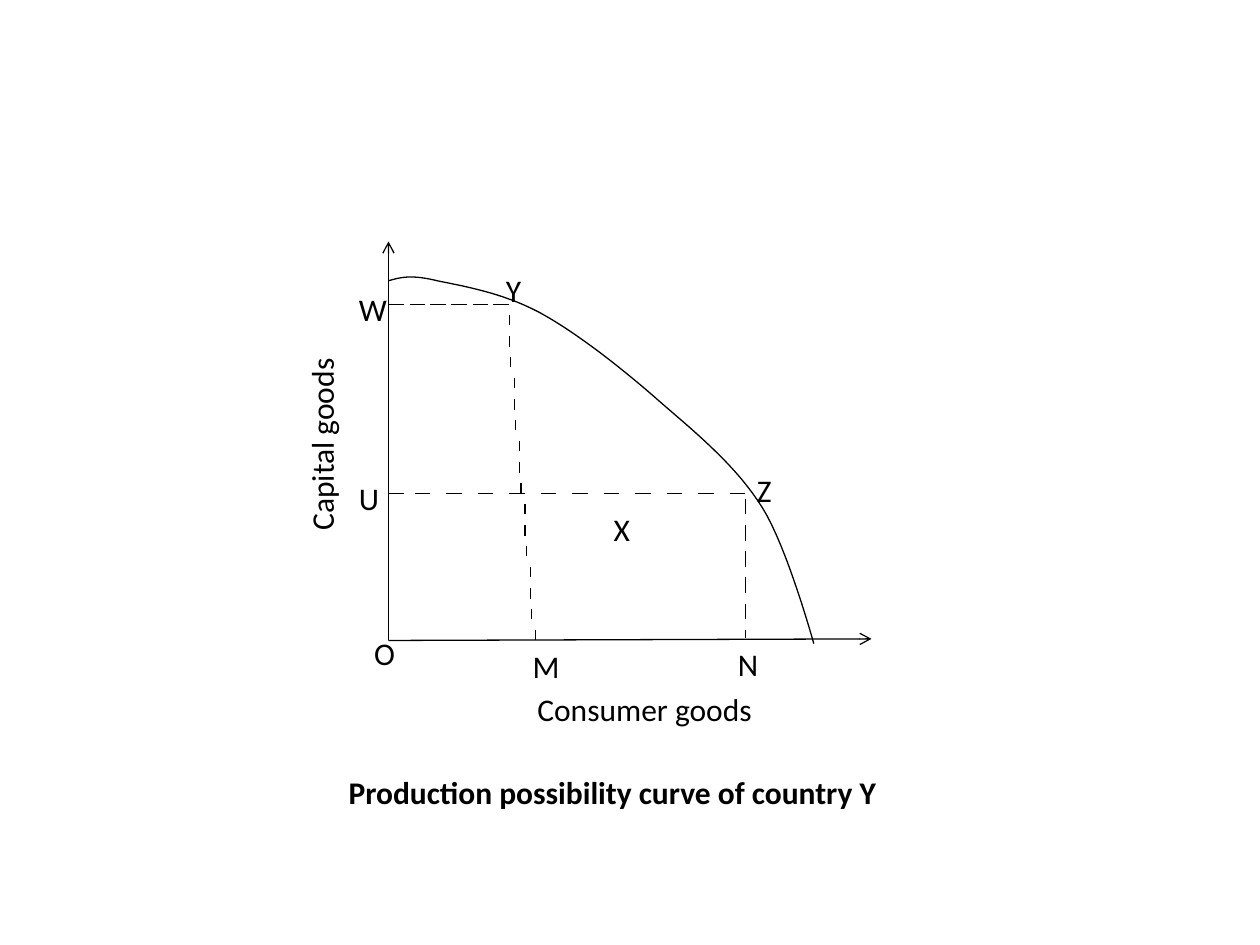
from dataclasses import dataclass

from lxml import etree
from pptx import Presentation
from pptx.dml.color import RGBColor
from pptx.enum.shapes import MSO_CONNECTOR
from pptx.enum.text import MSO_ANCHOR, MSO_AUTO_SIZE, PP_ALIGN
from pptx.oxml.ns import qn
from pptx.util import Inches, Pt

STRAIGHT = MSO_CONNECTOR.STRAIGHT
TOP = MSO_ANCHOR.TOP
LEFT = PP_ALIGN.LEFT
FIT_SHAPE, NO_FIT = MSO_AUTO_SIZE.SHAPE_TO_FIT_TEXT, MSO_AUTO_SIZE.NONE
COLS, ROWS = 240, 180
TITLE_ONLY = 5


@dataclass(frozen=True)
class Theme:
    """Colours, type and line sizes of the diagram."""
    ink: RGBColor = RGBColor(0, 0, 0)
    font: str = "Calibri"
    size: float = 18
    stroke: float = 0.75
    text_rows: float = 9.6


class Diagram:
    """Draws on one slide with lengths in grid columns and rows."""

    def __init__(self, prs, theme):
        self.slide = prs.slides.add_slide(prs.slide_layouts[TITLE_ONLY])
        self.theme = theme
        self.col = prs.slide_width / COLS
        self.row = prs.slide_height / ROWS

    def at(self, x, y):
        """Turn a grid position into slide units."""
        return round(x * self.col), round(y * self.row)

    def stroke(self, line):
        """Apply the theme's line style."""
        line.color.rgb = self.theme.ink
        line.width = Pt(self.theme.stroke)

    def line(self, start, end, arrow=False):
        """Add a straight line, with an optional arrowhead at its end."""
        sp = self.slide.shapes.add_connector(STRAIGHT, *self.at(*start), *self.at(*end))
        self.stroke(sp.line)
        props = sp.element.spPr
        if arrow:
            etree.SubElement(props.get_or_add_ln(), qn("a:tailEnd"), type="arrow")
        etree.SubElement(props, qn("a:effectLst"))

    def curve(self, start, segments, steps=16):
        """Add an open outline through cubic Bézier segments."""
        points = []
        p0 = start
        for p1, p2, p3 in segments:
            for i in range(1, steps + 1):
                t = i / steps
                weights = ((1 - t) ** 3, 3 * t * (1 - t) ** 2, 3 * t * t * (1 - t), t ** 3)
                x, y = (sum(w * v for w, v in zip(weights, axis))
                        for axis in zip(p0, p1, p2, p3))
                points.append(self.at(x, y))
            p0 = p3
        builder = self.slide.shapes.build_freeform(*self.at(*start))
        builder.add_line_segments(points, close=False)
        sp = builder.convert_to_shape()
        sp.fill.background()
        sp.shadow.inherit = False
        self.stroke(sp.line)

    def set_text(self, sp, text, bold=False):
        """Fill a shape with one styled paragraph."""
        tf = sp.text_frame
        tf.text = text
        tf.word_wrap = False
        tf.vertical_anchor = TOP
        p = tf.paragraphs[0]
        p.alignment = LEFT
        p.font.name = self.theme.font
        p.font.size = Pt(self.theme.size)
        p.font.color.rgb = self.theme.ink
        p.font.bold = bold
        return tf

    def label(self, text, x, y, width, rotation=0):
        """Add a one-line text box."""
        box = self.at(x, y) + self.at(width, self.theme.text_rows)
        sp = self.slide.shapes.add_textbox(*box)
        sp.rotation = rotation
        self.set_text(sp, text).auto_size = FIT_SHAPE

    def title(self, text, x, y, width):
        """Move and fill the title placeholder."""
        sp = self.slide.shapes.title
        sp.left, sp.top = self.at(x, y)
        sp.width, sp.height = self.at(width, self.theme.text_rows)
        self.set_text(sp, text, bold=True).auto_size = NO_FIT


def main():
    """Build the production possibility slide."""
    prs = Presentation()
    prs.slide_width, prs.slide_height = Inches(10), Inches(7.5)
    d = Diagram(prs, Theme())

    origin = (74, 122)
    d.line(origin, (74, 46), arrow=True)
    d.line(origin, (166, 121.7), arrow=True)
    d.curve((74, 53.5), [
        ((76.3, 52.8), (78.5, 52.3), (83.3, 53.5)),
        ((88.1, 54.5), (95.5, 55.7), (102.7, 59.5)),
        ((109.9, 63.4), (119, 70.6), (126, 76.8)),
        ((133.2, 83), (140.4, 89), (145.2, 96.7)),
        ((150, 104.4), (155, 122.6), (155, 122.6)),
    ])

    for x in range(74, 98, 4):
        d.line((x, 58), (x + 3, 58))
    for i in range(16):
        x, y = 97 + i // 3 + (0.25 if i % 3 == 2 else 0), 60 + 4 * i
        d.line((x, y), (x, y + 2))
    for x in (74, *range(79, 140, 6)):
        d.line((x, 94), (x + 3, 94))
    for y in range(95, 121, 5):
        d.line((142, y), (142, min(y + 3, 121.5)))

    for text, x, y, width in (
        ("Y", 94, 50.4, 7.7),
        ("Z", 141.8, 88.6, 7.7),
        ("X", 114.5, 96, 8),
        ("U", 66, 90, 8.6),
        ("N", 138.2, 121.7, 8.6),
        ("M", 99.1, 122, 10),
        ("O", 68.9, 119.5, 8.9),
        ("W", 66, 54, 10.3),
        ("Consumer goods", 100, 130.3, 47.5),
    ):
        d.label(text, x, y, width)
    d.label("Capital goods", 40.8, 78.2, 40.8, rotation=270)
    d.title("Production possibility curve of country Y", 64, 146, 106)

    prs.save("out.pptx")


if __name__ == "__main__":
    main()
